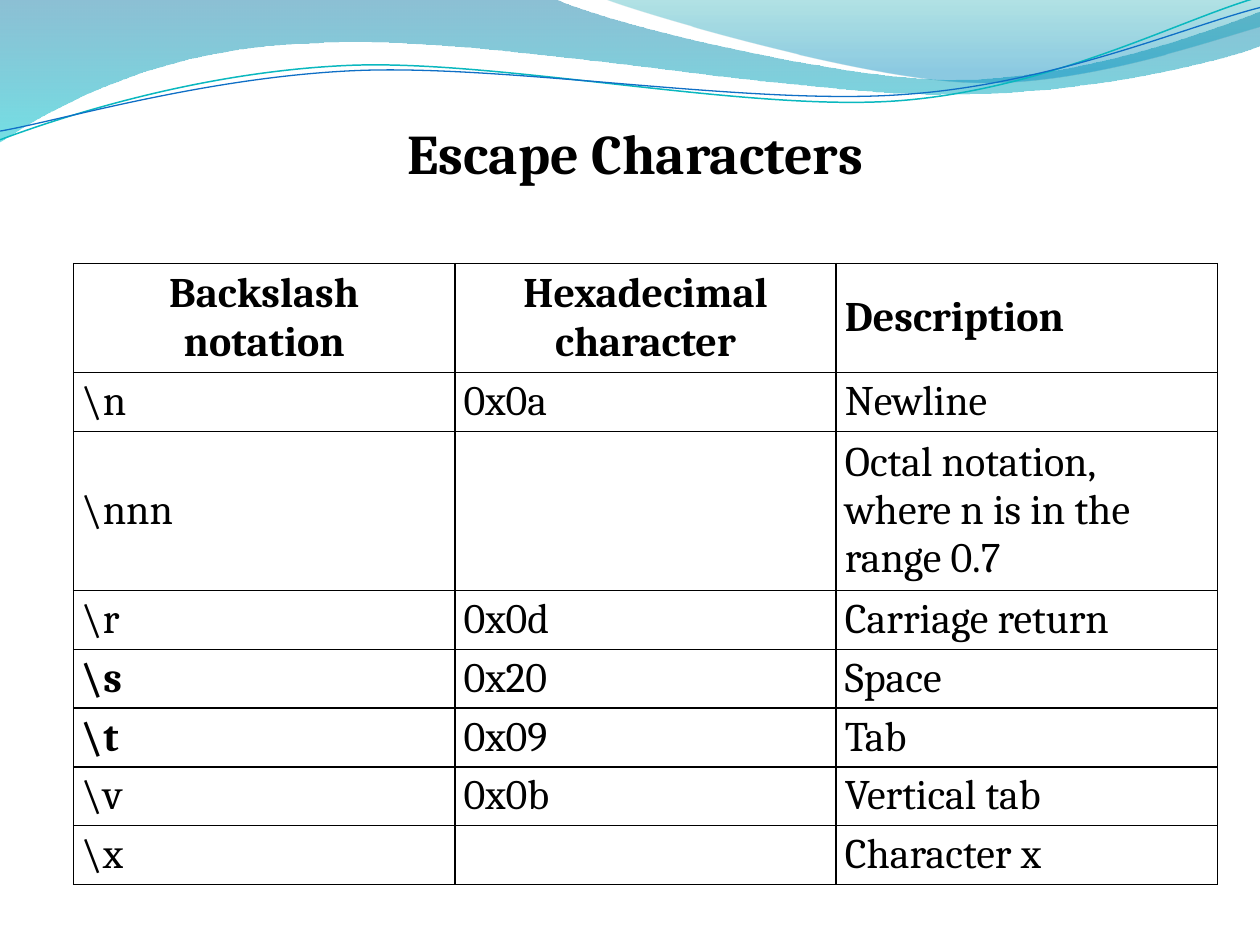
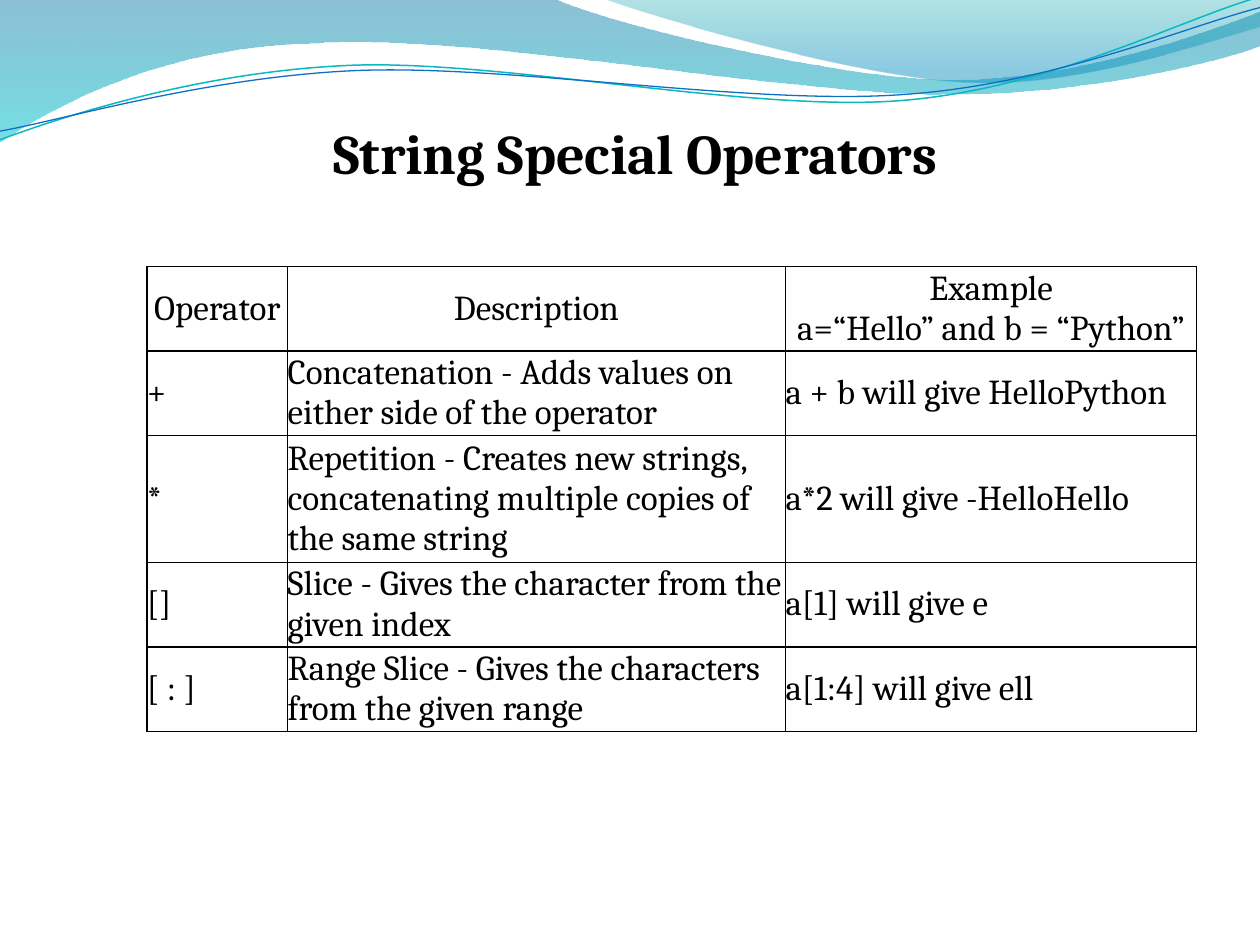
from dataclasses import dataclass

from lxml.etree import SubElement
from pptx import Presentation
from pptx.dml.color import RGBColor
from pptx.enum.text import MSO_ANCHOR as Anchor, MSO_AUTO_SIZE as AutoSize, PP_ALIGN as Align
from pptx.oxml.ns import qn
from pptx.shapes.autoshape import Shape
from pptx.slide import Slide, SlideLayout
from pptx.table import _Cell as Cell
from pptx.text.text import TextFrame
from pptx.util import Pt

FONT = "Cambria"
COLOURS = {
    "text": "000000",
    "border": "000000",
    "deep_blue": "0074A1",
    "aqua": "00C6CF",
    "teal": "00A1A9",
    "sky_blue": "008BBF",
    "teal_line": "0AB8BF",
    "blue_line": "0F6FC6",
}
TITLE_BOX = {"left": Pt(30.2), "top": Pt(64.1), "width": Pt(666), "height": Pt(46.1)}
TITLE_ONLY_LAYOUT = 5
FIRST_WAVE_ID = 100

Point = tuple[float, float]


@dataclass(frozen=True)
class GradientStop:
    position: float
    colour: str
    opacity: int


@dataclass(frozen=True)
class Wave:
    """Segments of two numbers are straight; segments of six are cubic curves."""
    start: Point
    segments: tuple[tuple[float, ...], ...]
    stops: tuple[GradientStop, ...] = ()
    line_colour: str = ""
    line_width: float = 0


@dataclass(frozen=True)
class TableSlide:
    title: str
    position: Point
    column_widths: tuple[float, ...]
    row_heights: tuple[float, ...]
    font_size: int
    side_margin: float
    edge_margin: float
    header_alignments: tuple[Align, ...]
    rows: tuple[tuple[str, ...], ...]
    bold_texts: frozenset[str] = frozenset()


WAVES = (
    Wave(
        (0, 0),
        (
            (316.8, -0.7),
            (342.7, 12.2, 478.1, 45.4, 545.8, 45.4),
            (614.2, 45.4, 689.8, 18.7, 720, 6.5),
            (720.7, 25.9),
            (707.8, 31.7, 626.4, 54.7, 537.1, 54),
            (447.8, 54, 275, 20.2, 185, 24.5),
            (92.9, 25.9, 33.1, 59.8, -0.7, 81.4),
        ),
        stops=(GradientStop(0, "deep_blue", 45), GradientStop(1, "aqua", 55)),
    ),
    Wave(
        (344.9, -0.7),
        (
            (366.5, 7.9, 491, 44.6, 553.7, 46.8),
            (616.3, 49.7, 691.9, 23, 720, 15.1),
            (720, 0),
        ),
        stops=(GradientStop(0, "teal", 30), GradientStop(0.8, "sky_blue", 45)),
    ),
    Wave(
        (0, 79.9),
        (
            (34.6, 67, 113.8, 41, 199.4, 37.4),
            (284.4, 33.8, 427, 64.1, 513.4, 57.6),
            (599.8, 51.1, 675.4, 10.8, 718.6, -1.4),
        ),
        line_colour="teal_line",
        line_width=0.85,
    ),
    Wave(
        (0, 74.9),
        (
            (33.8, 69.1, 118.1, 43.9, 203.8, 40.3),
            (290.2, 36.7, 429.8, 60.5, 516.2, 54),
            (601.9, 48.2, 677.5, 15.1, 720, 4.3),
        ),
        line_colour="blue_line",
        line_width=0.75,
    ),
)

ESCAPE_HEADER = ("Backslash\nnotation", "Hexadecimal character", "Description")
TABLE_SLIDES = (
    TableSlide(
        title="Escape Characters",
        position=(42, 150.7),
        column_widths=(217.9,) * 3,
        row_heights=(62.3, 33.6, 90.9) + (33.6,) * 5,
        font_size=24,
        side_margin=5,
        edge_margin=2.2,
        header_alignments=(Align.CENTER, Align.CENTER, Align.LEFT),
        rows=(
            ESCAPE_HEADER,
            (r"\n", "0x0a", "Newline"),
            (r"\nnn", "", "Octal notation, where n is in the range 0.7"),
            (r"\r", "0x0d", "Carriage return"),
            (r"\s", "0x20", "Space"),
            (r"\t", "0x09", "Tab"),
            (r"\v", "0x0b", "Vertical tab"),
            (r"\x", "", "Character x"),
        ),
        bold_texts=frozenset((*ESCAPE_HEADER, r"\s", r"\t")),
    ),
    TableSlide(
        title="String Special Operators",
        position=(84, 152.4),
        column_widths=(80.4, 284.5, 235),
        row_heights=(48.3, 48.3, 72.4, 48.3, 48.3),
        font_size=20,
        side_margin=0,
        edge_margin=0,
        header_alignments=(Align.CENTER,) * 3,
        rows=(
            ("Operator", "Description", "Example\na=“Hello” and b = “Python”"),
            ("+", "Concatenation - Adds values on either side of the operator",
             "a + b will give HelloPython"),
            ("*", "Repetition - Creates new strings, concatenating multiple copies "
             "of the same string", "a*2 will give -HelloHello"),
            ("[]", "Slice - Gives the character from the given index", "a[1] will give e"),
            ("[ : ]", "Range Slice - Gives the characters from the given range",
             "a[1:4] will give ell"),
        ),
    ),
)


def rgb(name: str) -> RGBColor:
    return RGBColor.from_string(COLOURS[name])


def apply_format(target: object, values: dict[str, object]) -> None:
    for name, value in values.items():
        setattr(target, name, value)


def format_text(frame: TextFrame, size: int, bold: bool, alignment: Align) -> None:
    for paragraph in frame.paragraphs:
        paragraph.alignment = alignment
        for run in paragraph.runs:
            apply_format(run.font, {"name": FONT, "size": Pt(size), "bold": bold})
            run.font.color.rgb = rgb("text")


def bend_segments(shape: Shape, segments: tuple[tuple[float, ...], ...]) -> None:
    """Join the three straight steps of each curved segment into one cubic curve."""
    steps = iter(list(shape.element.spPr.iter(qn("a:lnTo"))))
    for segment in segments:
        group = [next(steps) for _ in range(len(segment) // 2)]
        if len(group) == 3:
            outline = group[0].getparent()
            curve = SubElement(outline, qn("a:cubicBezTo"))
            outline.replace(group[0], curve)
            for step in group:
                curve.append(step[0])
            for step in group[1:]:
                outline.remove(step)


def fill_gradient(shape: Shape, stops: tuple[GradientStop, ...]) -> None:
    fill = shape.fill
    fill.gradient()
    fill.gradient_angle = 270
    for gradient_stop, stop in zip(fill.gradient_stops, stops):
        gradient_stop.position = stop.position
        gradient_stop.color.rgb = rgb(stop.colour)
    colours = shape.element.spPr.iter(qn("a:srgbClr"))
    for colour, stop in zip(list(colours), stops):
        SubElement(colour, qn("a:alpha"), val=str(stop.opacity * 1000))


def draw_wave(slide: Slide, wave: Wave) -> Shape:
    points = [wave.start]
    for segment in wave.segments:
        points += zip(segment[::2], segment[1::2])
    start, *others = [(Pt(x), Pt(y)) for x, y in points]
    builder = slide.shapes.build_freeform(*start)
    builder.add_line_segments(others, close=bool(wave.stops))
    shape = builder.convert_to_shape()
    bend_segments(shape, wave.segments)
    shape.shadow.inherit = False
    if wave.stops:
        fill_gradient(shape, wave.stops)
        shape.line.fill.background()
    else:
        shape.fill.background()
        shape.line.color.rgb = rgb(wave.line_colour)
        shape.line.width = Pt(wave.line_width)
    return shape


def move_waves_to_layout(slide: Slide, layout: SlideLayout) -> None:
    """Draw the waves on a slide, then hand them to the layout that all slides share."""
    for index, wave in enumerate(WAVES):
        shape = draw_wave(slide, wave)
        shape.element.nvSpPr.cNvPr.set("id", str(FIRST_WAVE_ID + index))
        layout.shapes.element.insert(2 + index, shape.element)


def add_title(slide: Slide, text: str) -> None:
    title = slide.shapes.title
    apply_format(title, TITLE_BOX)
    frame = title.text_frame
    frame.text = text
    apply_format(frame, {
        "vertical_anchor": Anchor.TOP,
        "word_wrap": True,
        "auto_size": AutoSize.SHAPE_TO_FIT_TEXT,
    })
    format_text(frame, 32, True, Align.CENTER)


def add_borders(cell: Cell) -> None:
    properties = cell._tc.get_or_add_tcPr()
    for index, side in enumerate(("a:lnL", "a:lnR", "a:lnT", "a:lnB")):
        line = SubElement(properties, qn(side), w=str(Pt(1)))
        colour = SubElement(SubElement(line, qn("a:solidFill")), qn("a:srgbClr"))
        colour.set("val", COLOURS["border"])
        properties.insert(index, line)


def add_table(slide: Slide, content: TableSlide) -> None:
    left, top = content.position
    table = slide.shapes.add_table(
        len(content.rows), len(content.column_widths), Pt(left), Pt(top),
        Pt(sum(content.column_widths)), Pt(sum(content.row_heights)),
    ).table
    apply_format(table, {"first_row": False, "horz_banding": False})
    for column, width in zip(table.columns, content.column_widths):
        column.width = Pt(width)
    for row, height in zip(table.rows, content.row_heights):
        row.height = Pt(height)

    cell_format = {
        "vertical_anchor": Anchor.MIDDLE,
        "margin_left": Pt(content.side_margin),
        "margin_right": Pt(content.side_margin),
        "margin_top": Pt(content.edge_margin),
        "margin_bottom": Pt(content.edge_margin),
    }
    for row_index, texts in enumerate(content.rows):
        for column_index, text in enumerate(texts):
            cell = table.cell(row_index, column_index)
            cell.text = text
            apply_format(cell, cell_format)
            cell.fill.background()
            add_borders(cell)
            is_header = row_index == 0
            alignment = content.header_alignments[column_index] if is_header else Align.LEFT
            format_text(cell.text_frame, content.font_size, text in content.bold_texts, alignment)


def main() -> None:
    presentation = Presentation()
    apply_format(presentation, {"slide_width": Pt(720), "slide_height": Pt(540)})
    layout = presentation.slide_layouts[TITLE_ONLY_LAYOUT]
    for index, content in enumerate(TABLE_SLIDES):
        slide = presentation.slides.add_slide(layout)
        if index == 0:
            move_waves_to_layout(slide, layout)
        add_title(slide, content.title)
        add_table(slide, content)
    presentation.save("out.pptx")


if __name__ == "__main__":
    main()
